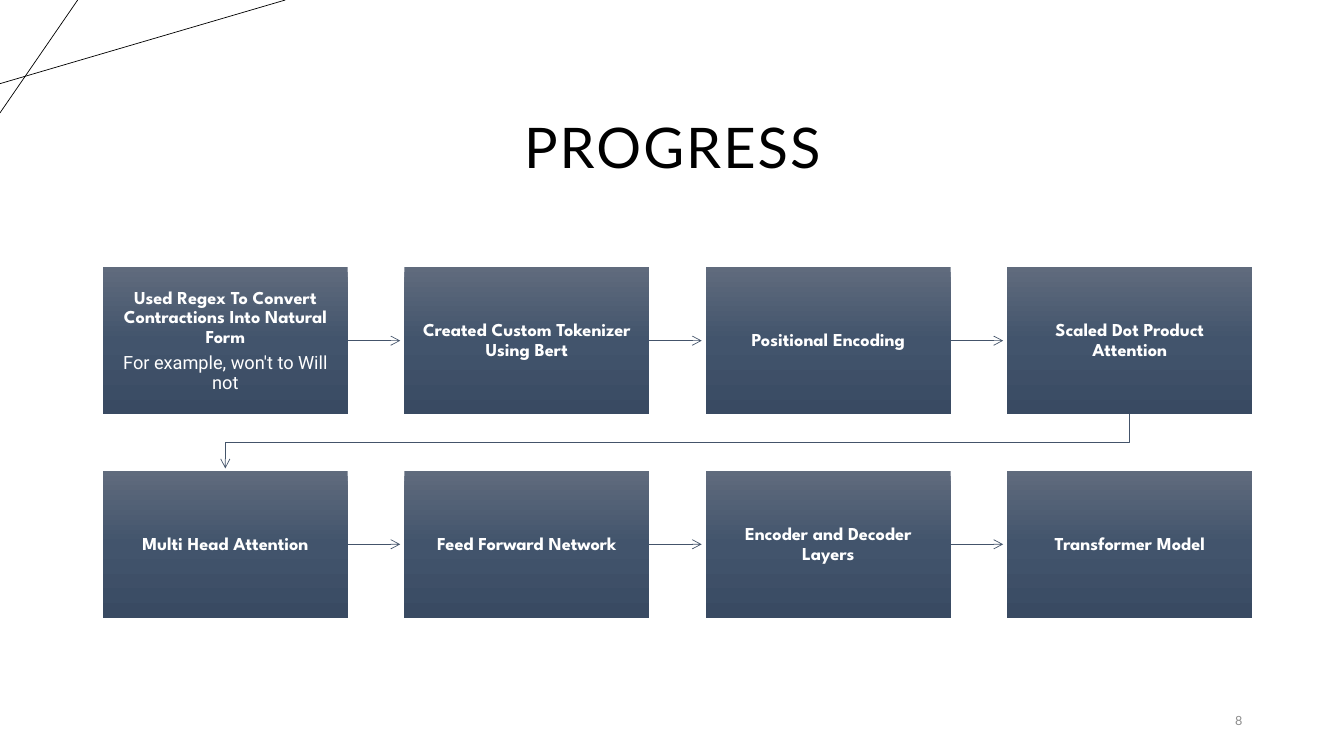
from copy import deepcopy

from lxml.etree import SubElement
from pptx import Presentation
from pptx.dml.color import RGBColor
from pptx.enum.shapes import MSO_CONNECTOR, MSO_SHAPE
from pptx.enum.text import MSO_ANCHOR, PP_ALIGN
from pptx.oxml.ns import qn
from pptx.util import Inches, Pt

COLORS = {"ink": "000000", "muted": "8C8C8C", "arrow": "44546A", "label": "FFFFFF",
          "box_top": "606B7D", "box_middle": "42546C", "box_bottom": "394A62"}
STEPS = [
    ["Used Regex To Convert Contractions Into Natural Form",
     "For example, won't to Will not"],
    ["Created Custom Tokenizer Using Bert"],
    ["Positional Encoding"],
    ["Scaled Dot Product Attention"],
    ["Multi Head Attention"],
    ["Feed Forward Network"],
    ["Encoder and Decoder Layers"],
    ["Transformer Model"],
]

# Step grid, in percent of the slide's width and height
COLUMNS = 4
LEFT, COLUMN_PITCH, BOX_WIDTH = 7.65, 22.43, 18.23
TOP, ROW_PITCH, BOX_HEIGHT = 35.33, 26.93, 19.47
ARROW_GAP = 0.3


class FlowSlide:
    def __init__(self, deck):
        self.width, self.height = deck.slide_width, deck.slide_height
        self.shapes = deck.slides.add_slide(deck.slide_layouts[6]).shapes

    def x(self, percent):
        return round(self.width * percent / 100)

    def y(self, percent):
        return round(self.height * percent / 100)

    def color(self, name):
        return RGBColor.from_string(COLORS[name])

    def format_paragraph(self, paragraph, font, size, color, align, after,
                         bold=False, line_spacing=None, tracking=None):
        paragraph.alignment = align
        paragraph.space_after = Pt(after)
        paragraph.line_spacing = line_spacing
        for run in paragraph.runs:
            run.font.name, run.font.size, run.font.bold = font, Pt(size), bold
            run.font.color.rgb = self.color(color)
            if tracking:
                run.font._element.set("spc", str(tracking))

    def text(self, words, left, top, width, height, anchor, **style):
        frame = self.shapes.add_textbox(self.x(left), self.y(top),
                                        self.x(width), self.y(height)).text_frame
        frame.word_wrap = True
        frame.vertical_anchor = anchor
        frame.text = words
        self.format_paragraph(frame.paragraphs[0], after=6, **style)

    def step(self, column, row, lines):
        box = self.shapes.add_shape(
            MSO_SHAPE.RECTANGLE,
            self.x(LEFT + column * COLUMN_PITCH), self.y(TOP + row * ROW_PITCH),
            self.x(BOX_WIDTH), self.y(BOX_HEIGHT))
        box.shadow.inherit = False
        box.line.fill.background()
        self.shade(box)
        frame = box.text_frame
        frame.word_wrap = True
        frame.vertical_anchor = MSO_ANCHOR.MIDDLE
        frame.margin_left = frame.margin_right = Inches(0.12)
        frame.margin_top = frame.margin_bottom = Inches(0.13)
        frame.text = "\n".join(lines)
        for index, paragraph in enumerate(frame.paragraphs):
            heading = index == 0
            self.format_paragraph(paragraph, "League Spartan" if heading else "Roboto",
                                  13, "label", PP_ALIGN.CENTER, 4.5, heading, 0.9)
        return box

    def shade(self, box):
        box.fill.gradient()
        box.fill.gradient_angle = 270
        stop_list = box._element.spPr.find(qn("a:gradFill")).find(qn("a:gsLst"))
        stop_list.append(deepcopy(stop_list[0]))
        tones = ("box_top", "box_middle", "box_bottom")
        for stop, position, tone in zip(box.fill.gradient_stops, (0, 0.5, 1), tones):
            stop.position = position
            stop.color.rgb = self.color(tone)

    def stroke(self, shape, color, arrow=False):
        shape.line.color.rgb = self.color(color)
        shape.line.width = Pt(0.5)
        if arrow:
            SubElement(shape.line._get_or_add_ln(), qn("a:tailEnd"), type="arrow")

    def line(self, start, end, color, arrow=False, source=None):
        connector = self.shapes.add_connector(
            MSO_CONNECTOR.STRAIGHT, self.x(start[0]), self.y(start[1]),
            self.x(end[0]), self.y(end[1]))
        if source is not None:
            connector.begin_connect(source, 3)
        self.stroke(connector, color, arrow)
        SubElement(connector._element.spPr, qn("a:effectLst"))

    def bent_arrow(self, points, color):
        corners = [(self.x(across), self.y(down)) for across, down in points]
        builder = self.shapes.build_freeform(*corners[0])
        builder.add_line_segments(corners[1:], close=False)
        route = builder.convert_to_shape()
        route.shadow.inherit = False
        route.fill.background()
        self.stroke(route, color, arrow=True)


def main():
    deck = Presentation()
    deck.slide_width, deck.slide_height = Inches(13.33), Inches(7.5)
    slide = FlowSlide(deck)

    # Corner lines
    slide.line((0, 11.07), (21.23, 0), "ink")
    slide.line((5.78, 0), (0, 14.93), "ink")

    # Title and page number
    slide.text("PROGRESS", 6.9, 5.2, 86.27, 19.33, MSO_ANCHOR.BOTTOM, font="Lato",
               size=40, color="ink", align=PP_ALIGN.CENTER, line_spacing=0.9, tracking=150)
    slide.text("8", 85.07, 92.67, 8.1, 5.33, MSO_ANCHOR.MIDDLE, font="Lato",
               size=9, color="muted", align=PP_ALIGN.RIGHT)

    # Steps, each with an arrow to the next one in its row
    for index, lines in enumerate(STEPS):
        row, column = divmod(index, COLUMNS)
        box = slide.step(column, row, lines)
        if column < COLUMNS - 1:
            middle = TOP + row * ROW_PITCH + BOX_HEIGHT / 2
            box_left = LEFT + column * COLUMN_PITCH
            slide.line((box_left + BOX_WIDTH, middle),
                       (box_left + COLUMN_PITCH - ARROW_GAP, middle),
                       "arrow", arrow=True, source=box)

    # Turn from the end of the first row to the start of the second
    first = LEFT + BOX_WIDTH / 2
    last = first + (COLUMNS - 1) * COLUMN_PITCH
    row_end, next_row = TOP + BOX_HEIGHT, TOP + ROW_PITCH
    turn = (row_end + next_row) / 2
    slide.bent_arrow([(last, row_end), (last, turn), (first, turn),
                      (first, next_row - ARROW_GAP)], "arrow")

    deck.save("out.pptx")


if __name__ == "__main__":
    main()
